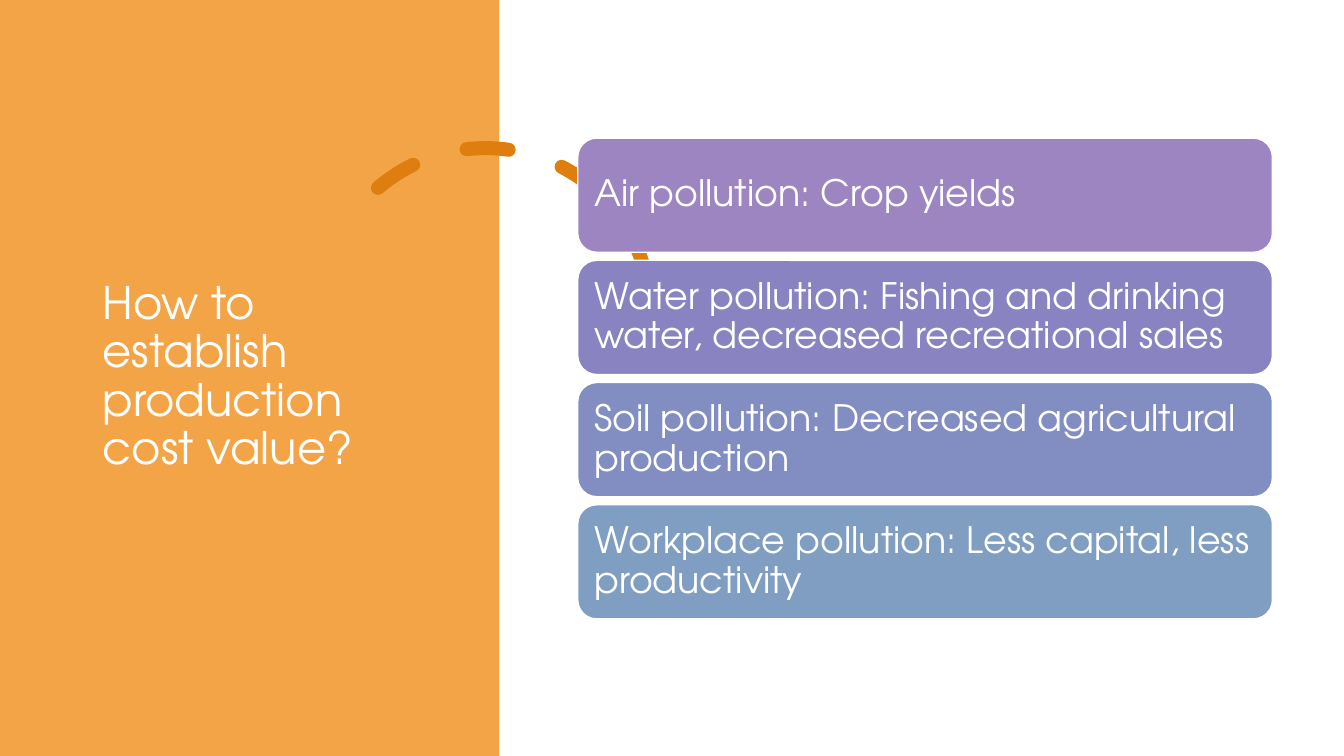
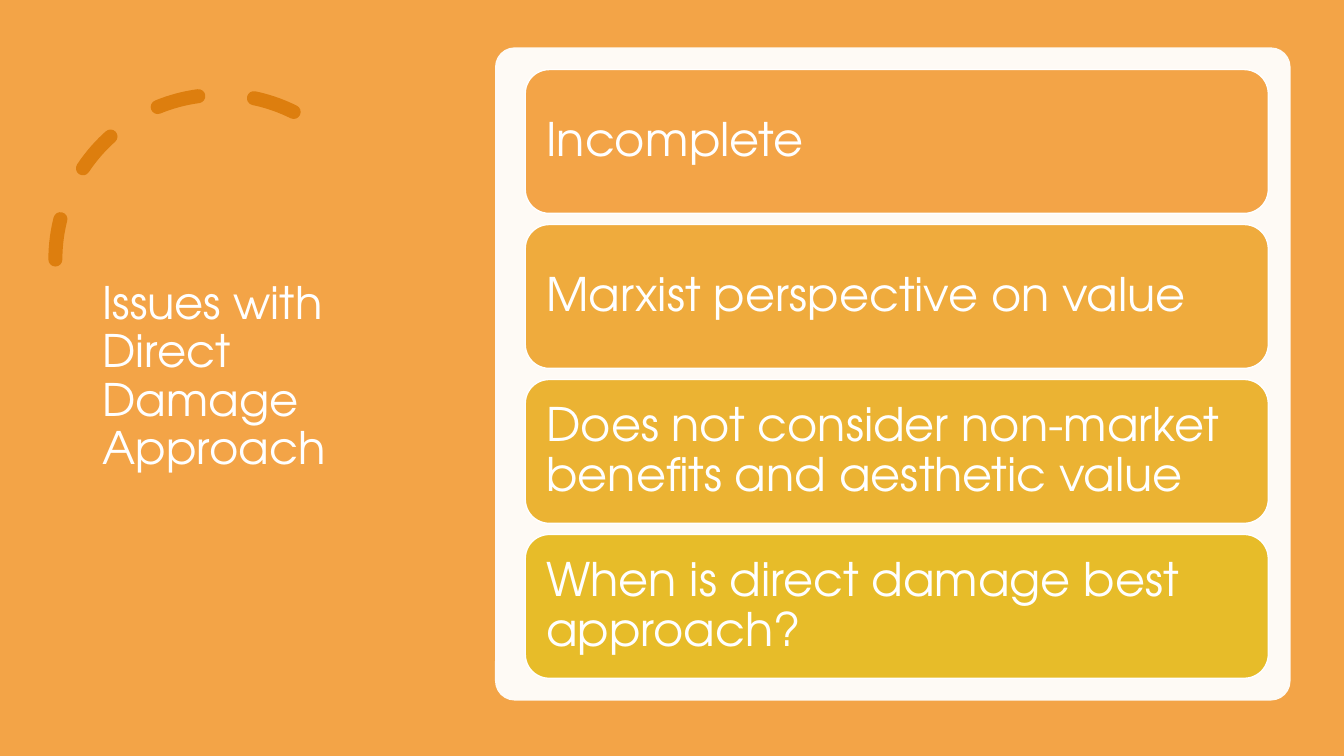
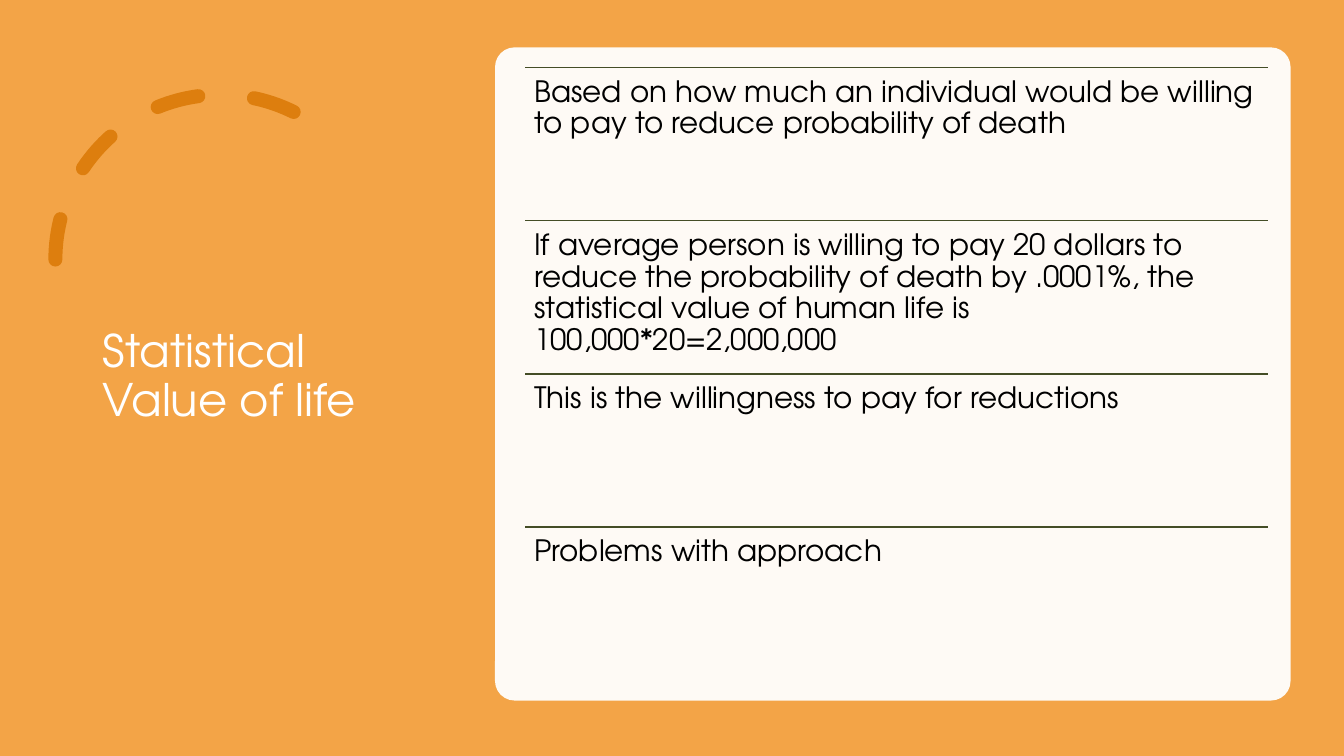
"""Build three slides on valuing pollution damage and the value of life."""
from lxml import etree
from pptx import Presentation
from pptx.dml.color import RGBColor
from pptx.enum.dml import MSO_LINE
from pptx.enum.shapes import MSO_CONNECTOR, MSO_SHAPE
from pptx.enum.text import MSO_ANCHOR, PP_ALIGN
from pptx.oxml.ns import qn
from pptx.util import Inches, Pt

RECT, ROUNDED, ARC = MSO_SHAPE.RECTANGLE, MSO_SHAPE.ROUNDED_RECTANGLE, MSO_SHAPE.ARC
STRAIGHT, DASH = MSO_CONNECTOR.STRAIGHT, MSO_LINE.DASH
TOP, MIDDLE, LEFT = MSO_ANCHOR.TOP, MSO_ANCHOR.MIDDLE, PP_ALIGN.LEFT

WIDTH, HEIGHT = 13.33, 7.5
FONT = "TeX Gyre Adventor"
COLORS = {
    "orange": "F3A447", "dark orange": "DD7E0E", "white": "FFFFFF",
    "black": "000000", "olive": "444D26",
    "purple": "9C85C0", "violet": "8A83C1", "indigo": "828DC1", "blue": "809EC2",
    "amber": "EFAB3D", "gold": "EBB333", "yellow": "E7BC29",
}

COST_TITLE = "How to establish production cost value?"
COSTS = [
    ("Air pollution: Crop yields", "purple"),
    ("Water pollution: Fishing and drinking water, decreased recreational sales", "violet"),
    ("Soil pollution: Decreased agricultural production", "indigo"),
    ("Workplace pollution: Less capital, less productivity", "blue"),
]
ISSUES_TITLE = "Issues with Direct Damage Approach"
ISSUES = [
    ("Incomplete", "orange"),
    ("Marxist perspective on value", "amber"),
    ("Does not consider non-market benefits and aesthetic value", "gold"),
    ("When is direct damage best approach?", "yellow"),
]
LIFE_TITLE = "Statistical Value of life"
LIFE_POINTS = [
    "Based on how much an individual would be willing to pay to reduce probability of death",
    "If average person is willing to pay 20 dollars to reduce the probability of death "
    "by .0001%, the statistical value of human life is 100,000*20=2,000,000",
    "This is the willingness to pay for reductions",
    "Problems with approach",
]


def rgb(name):
    return RGBColor.from_string(COLORS[name])


def box(*lengths):
    return [Inches(length) for length in lengths]


def write(holder, text, size, color="white", anchor=MIDDLE, insets=(0.1, 0.05)):
    frame = holder.text_frame
    frame.word_wrap = True
    frame.vertical_anchor = anchor
    frame.margin_left = frame.margin_right = Inches(insets[0])
    frame.margin_top = frame.margin_bottom = Inches(insets[1])
    paragraph = frame.paragraphs[0]
    paragraph.alignment = LEFT
    paragraph.line_spacing = 0.9
    run = paragraph.add_run()
    run.text = text
    run.font.name, run.font.size, run.font.color.rgb = FONT, Pt(size), rgb(color)


def add_block(slide, kind, place, fill, outline=None):
    block = slide.shapes.add_shape(kind, *box(*place))
    block.shadow.inherit = False
    block.fill.solid()
    block.fill.fore_color.rgb = rgb(fill)
    if outline:
        block.line.color.rgb, block.line.width = rgb(outline), Pt(1)
    else:
        block.line.fill.background()
    return block


def add_dashed_arc(slide, left, top, rotation=0, mirrored=False):
    arc = slide.shapes.add_shape(ARC, *box(left, top, 3.27, 3.27))
    arc.shadow.inherit = False
    arc.adjustments[0], arc.adjustments[1] = 146.13, 0
    arc.rotation = rotation
    arc.fill.background()
    arc.line.color.rgb, arc.line.width = rgb("dark orange"), Pt(10)
    arc.line.dash_style = DASH
    arc.element.spPr.find(qn("a:ln")).set("cap", "rnd")
    if mirrored:
        arc.element.spPr.find(qn("a:xfrm")).set("flipH", "1")


def start_slide(deck, title, band_width, **arc):
    slide = deck.slides.add_slide(deck.slide_layouts[6])
    add_block(slide, RECT, (0, 0, band_width, HEIGHT), "orange")
    add_dashed_arc(slide, **arc)
    write(slide.shapes.add_textbox(*box(0.92, 0.7, 3.23, 6.09)), title, 32)
    return slide


def start_panel_slide(deck, title):
    slide = start_slide(deck, title, WIDTH, left=0.55, top=0.94, mirrored=True)
    panel = add_block(slide, ROUNDED, (4.91, 0.47, 7.89, 6.48), "white")
    panel.adjustments[0] = 0.03
    tint = panel.element.spPr.find(qn("a:solidFill"))[0]
    etree.SubElement(tint, qn("a:alpha")).set("val", "95000")
    return slide


def rows(items, top, bottom, gap=0):
    height = (bottom - top - gap * (len(items) - 1)) / len(items)
    return [(item, top + i * (height + gap), height) for i, item in enumerate(items)]


def add_cards(slide, cards, left, width, size, inset, **span):
    for (text, color), top, height in rows(cards, **span):
        card = add_block(slide, ROUNDED, (left, top, width, height), color, "white")
        write(card, text, size, insets=(inset, inset))


def add_ruled_list(slide, points, left, width, **span):
    for text, top, height in rows(points, **span):
        rule = slide.shapes.add_connector(STRAIGHT, *box(left, top, left + width, top))
        rule.line.color.rgb, rule.line.width = rgb("olive"), Pt(1)
        etree.SubElement(rule.element.spPr, qn("a:effectLst"))
        point = slide.shapes.add_textbox(*box(left, top, width, height))
        write(point, text, 21, color="black", anchor=TOP, insets=(0.09, 0.09))


def main():
    deck = Presentation()
    deck.slide_width, deck.slide_height = box(WIDTH, HEIGHT)
    costs = start_slide(deck, COST_TITLE, 4.95, left=3.18, top=1.47, rotation=345.8)
    add_cards(costs, COSTS, 5.73, 6.89, 26, 0.11, top=1.37, bottom=6.14, gap=0.08)
    issues = start_panel_slide(deck, ISSUES_TITLE)
    add_cards(issues, ISSUES, 5.21, 7.37, 33, 0.14, top=0.69, bottom=6.73, gap=0.11)
    life = start_panel_slide(deck, LIFE_TITLE)
    add_ruled_list(life, LIFE_POINTS, 5.21, 7.37, top=0.67, bottom=6.75)
    deck.save("out.pptx")


if __name__ == "__main__":
    main()
